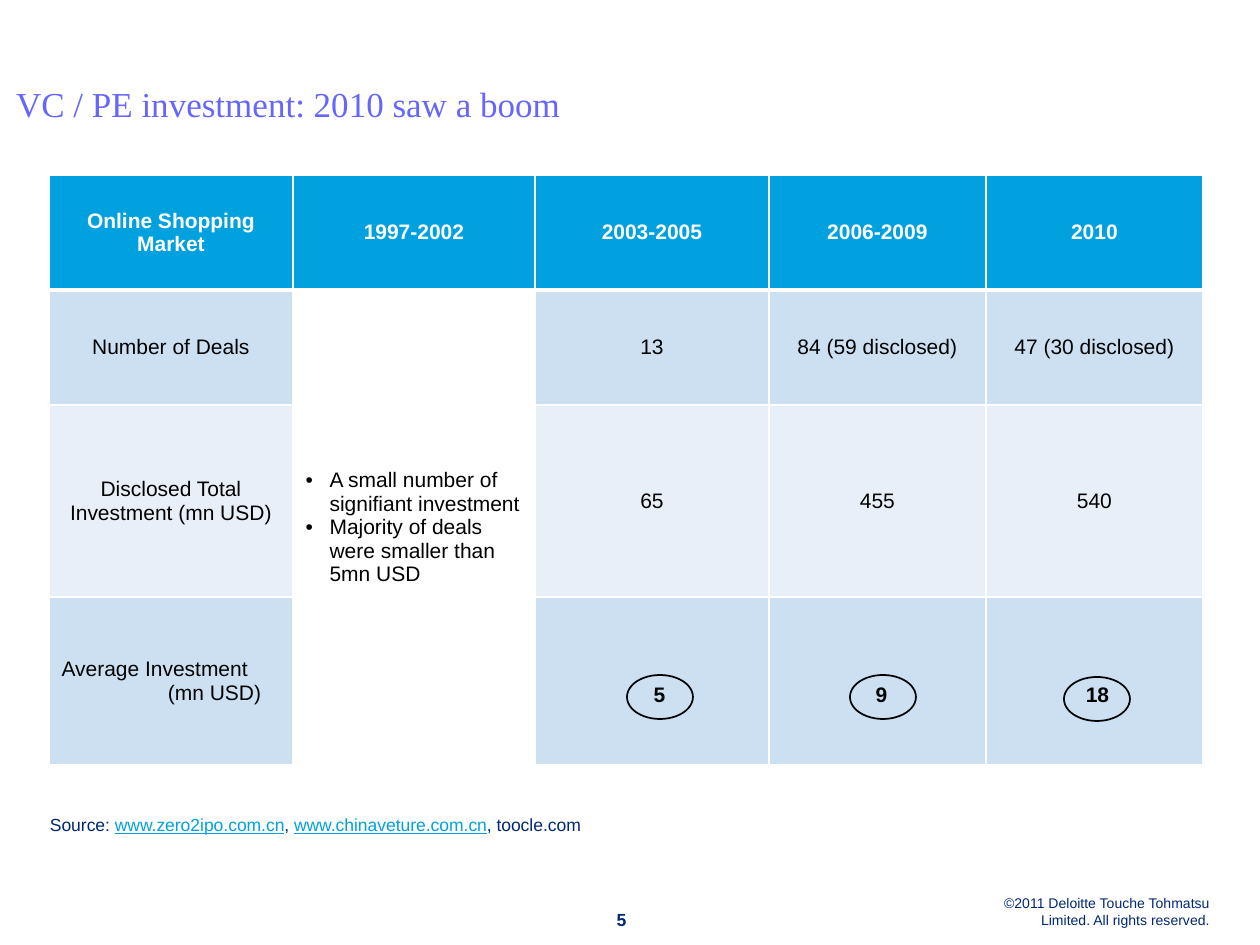
from lxml.etree import SubElement
from pptx import Presentation
from pptx.dml.color import RGBColor
from pptx.enum.shapes import MSO_SHAPE
from pptx.enum.text import MSO_ANCHOR, PP_ALIGN
from pptx.oxml.ns import qn
from pptx.util import Emu, Pt

PX = 914400 / 126
NAVY, CYAN, BLACK, WHITE = "002776", "00A1DE", "000000", "FFFFFF"
BAND_DARK, BAND_LIGHT = "CCE0F2", "E7F0F9"


def px(length):
    return Emu(round(length * PX))


def rgb(value):
    return RGBColor.from_string(value)


def apply(target, values):
    for name, value in values.items():
        setattr(target, name, value)


class Deck:
    def __init__(self, width, height, font="Arial"):
        self.font = font
        self.deck = Presentation()
        apply(self.deck, {"slide_width": px(width), "slide_height": px(height)})
        self.slide = self.deck.slides.add_slide(self.deck.slide_layouts[6])

    def run(self, paragraph, words, size, color, **style):
        run = paragraph.add_run()
        run.text = words
        apply(run.font, {"name": self.font, "size": Pt(size), **style})
        run.font.color.rgb = rgb(color)

    def text(self, box, runs, size, align=PP_ALIGN.LEFT, anchor=MSO_ANCHOR.TOP, wrap=True):
        frame = self.slide.shapes.add_textbox(*map(px, box)).text_frame
        apply(frame, {"word_wrap": wrap, "vertical_anchor": anchor, "margin_left": 0,
                      "margin_top": 0, "margin_right": 0, "margin_bottom": 0})
        paragraph = frame.paragraphs[0]
        paragraph.alignment = align
        for words, color, style in runs:
            self.run(paragraph, words, size, color, **style)

    def ellipse(self, box, words=None, line=None):
        oval = self.slide.shapes.add_shape(MSO_SHAPE.OVAL, *map(px, box))
        oval.shadow.inherit = False
        oval.fill.background()
        if line:
            oval.line.color.rgb = rgb(line)
            oval.line.width = Pt(1)
        else:
            oval.line.fill.background()
        if words:
            oval.text_frame.vertical_anchor = MSO_ANCHOR.MIDDLE
            paragraph = oval.text_frame.paragraphs[0]
            paragraph.alignment = PP_ALIGN.CENTER
            self.run(paragraph, words, 12, BLACK, bold=True)

    def table(self, left, top, widths, heights):
        table = self.slide.shapes.add_table(
            len(heights), len(widths), px(left), px(top), px(sum(widths)), px(sum(heights))).table
        for column, width in zip(table.columns, widths):
            column.width = px(width)
        for row, height in zip(table.rows, heights):
            row.height = px(height)
        return table

    def cell(self, cell, lines, fill=None, color=BLACK, bold=False, bottom=1):
        cell.vertical_anchor = MSO_ANCHOR.MIDDLE
        properties = cell._tc.get_or_add_tcPr()
        for side, width in {"L": 1, "R": 1, "T": 1, "B": bottom}.items():
            border = SubElement(properties, qn(f"a:ln{side}"), w=str(Pt(width)))
            SubElement(SubElement(border, qn("a:solidFill")), qn("a:srgbClr"), val=WHITE)
        if fill:
            cell.fill.solid()
            cell.fill.fore_color.rgb = rgb(fill)
        else:
            cell.fill.background()
        for index, (words, align, indent, bullet) in enumerate(lines):
            frame = cell.text_frame
            paragraph = frame.add_paragraph() if index else frame.paragraphs[0]
            paragraph.alignment = align
            layout = paragraph._p.get_or_add_pPr()
            layout.set("marL", str(px(indent)))
            if bullet:
                layout.set("indent", str(-px(indent)))
                SubElement(layout, qn("a:buFont"), typeface=self.font)
                SubElement(layout, qn("a:buChar"), char=bullet)
            self.run(paragraph, words, 12, color, bold=bold)


def centred(words):
    return [(words, PP_ALIGN.CENTER, 0, None)] if words else []


def main():
    page = Deck(1260, 945)
    page.text((961, 910, 249, 18),
              [("©2011 Deloitte Touche Tohmatsu Limited. All rights reserved.", NAVY, {})],
              8, PP_ALIGN.RIGHT, MSO_ANCHOR.BOTTOM, wrap=False)
    page.text((16, 33, 1227, 141),
              [("VC / PE investment: 2010 saw a boom", "6666FF", {"name": "Times New Roman"})],
              20, anchor=MSO_ANCHOR.MIDDLE)

    investments = page.table(49, 175, (244, 242, 234, 217, 217), (115, 115, 192, 168))
    periods = ("Online Shopping Market", "1997-2002", "2003-2005", "2006-2009", "2010")
    for column, period in enumerate(periods):
        page.cell(investments.cell(0, column), centred(period), CYAN, WHITE, True, 3)

    average = [("Average Investment", PP_ALIGN.LEFT, 0, None),
               ("(mn USD)", PP_ALIGN.CENTER, 87, None)]
    measures = (
        (centred("Number of Deals"), ("13", "84 (59 disclosed)", "47 (30 disclosed)"), BAND_DARK),
        (centred("Disclosed Total Investment (mn USD)"), ("65", "455", "540"), BAND_LIGHT),
        (average, ("", "", ""), BAND_DARK),
    )
    for row, (label, values, band) in enumerate(measures, 1):
        page.cell(investments.cell(row, 0), label, band)
        for column, value in enumerate(values, 2):
            page.cell(investments.cell(row, column), centred(value), band)

    early_years = ("A small number of signifiant investment",
                   "Majority of deals were smaller than 5mn USD")
    investments.cell(1, 1).merge(investments.cell(3, 1))
    page.cell(investments.cell(1, 1),
              [(remark, PP_ALIGN.LEFT, 24, "•") for remark in early_years])

    link = {"underline": True}
    page.text((50, 814, 1144, 21),
              [("Source: ", NAVY, {}), ("www.zero2ipo.com.cn", CYAN, link), (", ", NAVY, {}),
               ("www.chinaveture.com.cn", CYAN, link), (", toocle.com", NAVY, {})], 10)

    for left, width, amount in ((631, 57, "5"), (853, 57, "9"), (1063, 69, "18")):
        page.ellipse((left, 680, width, 29), words=amount)
    page.text((582, 905, 79, 25), [("5", NAVY, {"bold": True})],
              10, PP_ALIGN.CENTER, MSO_ANCHOR.BOTTOM)
    for left, top in ((627, 675), (850, 675), (1064, 677)):
        page.ellipse((left, top, 66, 44), line=BLACK)

    page.deck.save("out.pptx")


if __name__ == "__main__":
    main()
